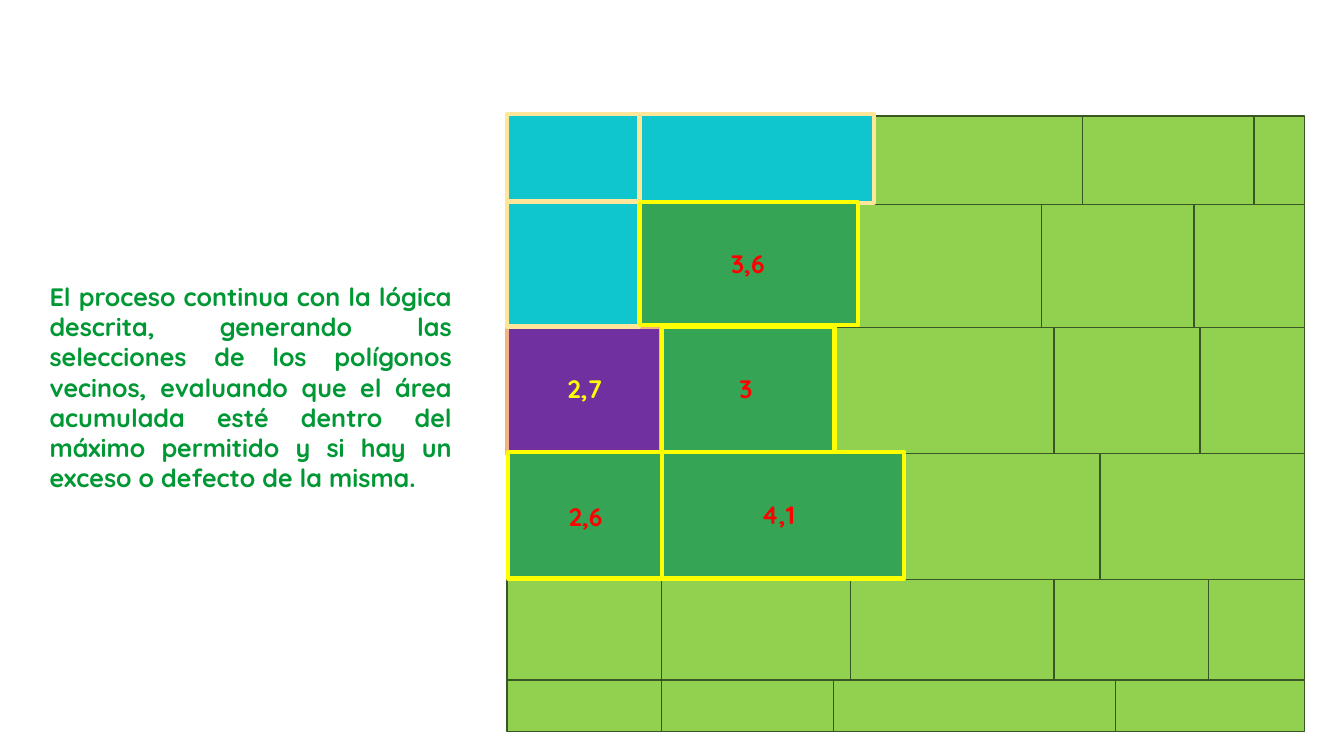
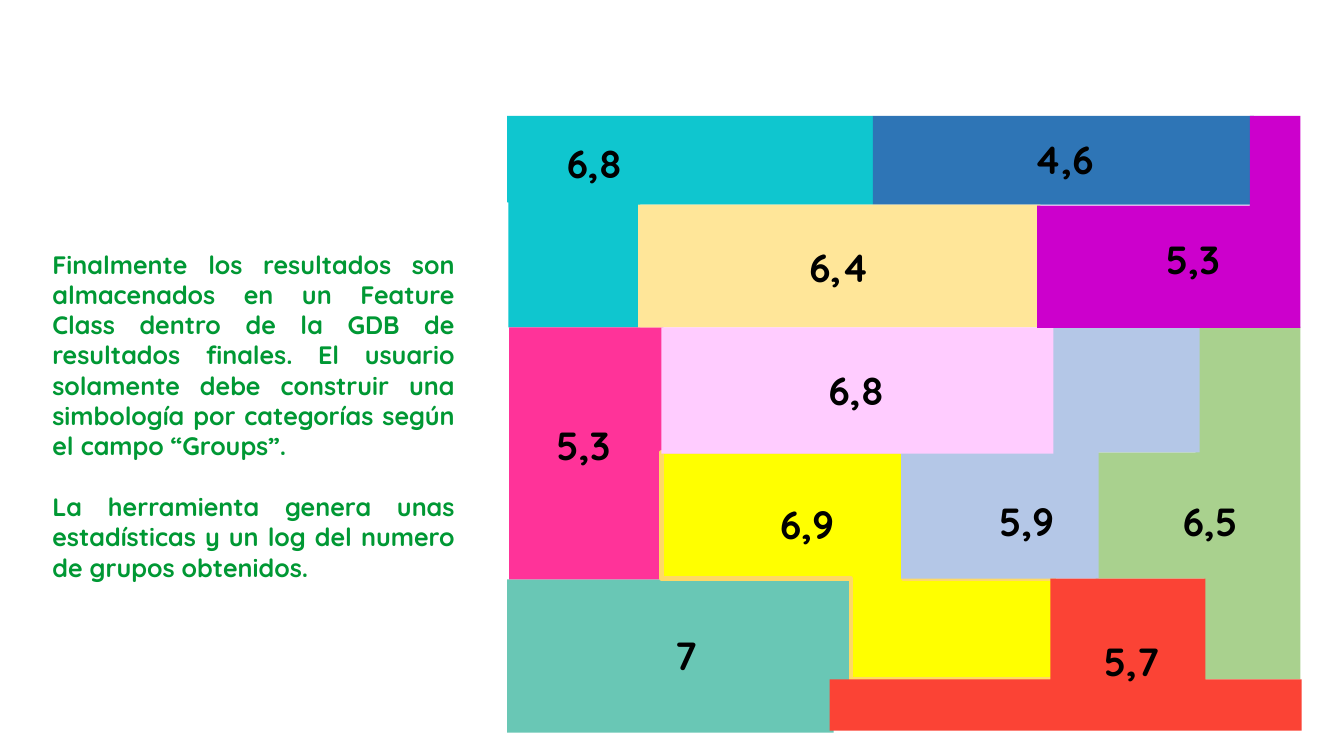
import dataclasses
import itertools

import pptx
import pptx.dml.color
import pptx.enum.shapes
import pptx.enum.text
import pptx.oxml
import pptx.oxml.ns
import pptx.util
from pptx.util import Cm


@dataclasses.dataclass(frozen=True)
class Theme:
    """Colours, type sizes and line widths used by both slides."""
    font: str = "Quicksand"
    body_size: int = 18
    total_size: int = 28
    thin: float = 1
    thick: float = 3
    white: str = "FFFFFF"
    black: str = "000000"
    body: str = "009834"
    parcel: str = "92D050"
    parcel_edge: str = "385723"
    seed: str = "7030A0"
    seed_edge: str = "F4B183"
    grouped: str = "0FC6CF"
    sand: str = "FFE699"
    neighbour: str = "36A455"
    yellow: str = "FFFF00"
    red: str = "FF0000"
    teal: str = "69C7B5"
    sage: str = "A9D18E"
    blue: str = "2E75B6"
    pink: str = "FF3399"
    gold: str = "FFD966"
    periwinkle: str = "B4C7E7"
    lilac: str = "FFCCFF"
    coral: str = "FB4335"
    magenta: str = "CC00CC"


THEME = Theme()
MAP_ORIGIN = (12.78, 2.92)
MAP_RIGHT = 20.1
ROW_EDGES = (0, 2.24, 5.33, 8.51, 11.68, 14.22, 15.52)
PARCEL_EDGES = (
    (9.25, 14.5, 18.82, MAP_RIGHT),
    (3.33, 8.81, 13.47, 17.31, MAP_RIGHT),
    (3.89, 8.23, 13.78, 17.46, MAP_RIGHT),
    (0, 3.89, 9.97, 14.94, MAP_RIGHT),
    (0, 3.89, 8.66, 13.78, 17.68, MAP_RIGHT),
    (0, 3.89, 8.23, 15.34, MAP_RIGHT),
)
SELECTIONS = (
    (THEME.seed, THEME.seed_edge, ((0, 5.33, 3.89, 3.18),)),
    (THEME.grouped, THEME.sand, (
        (0, -0.05, 3.33, 2.21), (0, 2.16, 3.33, 3.15), (3.35, -0.05, 5.89, 2.24))),
    (THEME.neighbour, THEME.yellow, (
        (0.03, 8.48, 3.89, 3.18), (3.91, 5.31, 4.34, 3.18),
        (3.91, 8.48, 6.1, 3.18), (3.35, 2.18, 5.49, 3.1))),
)
AREAS = (
    ("2,7", 1.96, 6.86, THEME.yellow),
    ("3,6", 6.07, 3.73, THEME.red),
    ("3", 6.02, 6.86, THEME.red),
    ("4,1", 6.83, 10.06, THEME.red),
    ("2,6", 1.98, 10.11, THEME.red),
)
GROUPS = (
    (THEME.grouped, None, ((0, 0), (9.22, 0), (9.22, 2.24), (3.35, 2.24),
                           (3.35, 5.33), (0.03, 5.33), (0.03, 2.18), (0, 2.18))),
    (THEME.teal, None, ((0, 11.68), (8.66, 11.68), (8.66, 14.22), (8.23, 14.22),
                        (8.23, 15.54), (0, 15.54))),
    (THEME.sage, None, ((17.35, 5.31), (19.99, 5.31), (19.99, 14.2), (17.58, 14.2),
                        (17.58, 11.66), (14.83, 11.66), (14.83, 8.48), (17.35, 8.48))),
    (THEME.blue, None, ((9.22, 0), (18.82, 2.24))),
    (THEME.pink, None, ((0.05, 5.33), (3.94, 11.68))),
    (THEME.sand, None, ((3.3, 2.24), (13.44, 5.33))),
    (THEME.yellow, THEME.gold, ((3.89, 8.48), (9.98, 8.48), (9.98, 11.66), (13.77, 11.66),
                                (13.77, 14.2), (8.66, 14.2), (8.66, 11.66), (3.89, 11.66))),
    (THEME.periwinkle, None, ((13.74, 5.31), (17.45, 5.31), (17.45, 8.48), (14.91, 8.48),
                              (14.91, 11.66), (9.93, 11.66), (9.93, 8.48), (13.74, 8.48))),
    (THEME.lilac, None, ((3.89, 5.33), (13.77, 8.51))),
    (THEME.coral, None, ((13.69, 11.66), (17.6, 11.66), (17.6, 14.2), (20.02, 14.2),
                         (20.02, 15.49), (8.13, 15.49), (8.13, 14.2), (13.69, 14.2))),
    (THEME.magenta, None, ((18.72, 0), (19.99, 0), (19.99, 5.34), (13.36, 5.34),
                           (13.36, 2.26), (18.72, 2.26))),
)
GROUP_TOTALS = (
    ("6,8", 2.2, 1.18), ("4,6", 14.03, 1.1), ("6,4", 8.37, 3.8), ("5,3", 1.92, 8.29),
    ("6,8", 8.8, 6.9), ("6,5", 17.72, 10.22), ("6,9", 7.56, 10.3), ("7", 4.51, 13.6),
    ("5,9", 13.09, 10.2), ("5,3", 17.28, 3.62), ("5,7", 15.74, 13.75),
)
PROCESS = (
    "El proceso continua con la lógica descrita, generando las selecciones de los polígonos "
    "vecinos, evaluando que el área acumulada esté dentro del máximo permitido y si hay un "
    "exceso o defecto de la misma.",
)
RESULTS = (
    "Finalmente los resultados son almacenados en un Feature Class dentro de la GDB de "
    "resultados finales. El usuario solamente debe construir una simbología por categorías "
    "según el campo “Groups”.",
    "La herramienta genera unas estadísticas y un log del numero de grupos obtenidos.",
)


def rgb(code):
    """Turn a hex code into a colour."""
    return pptx.dml.color.RGBColor.from_string(code)


def paint(shape, fill, edge=None, width=THEME.thick):
    """Give a shape its fill and, if any, its edge."""
    shape.shadow.inherit = False
    shape.fill.solid()
    shape.fill.fore_color.rgb = rgb(fill)
    if edge:
        shape.line.color.rgb = rgb(edge)
        shape.line.width = pptx.util.Pt(width)
    else:
        shape.line.fill.background()


def add_rectangle(slide, left, top, width, height):
    """Add a rectangle measured in centimetres."""
    return slide.shapes.add_shape(
        pptx.enum.shapes.MSO_SHAPE.RECTANGLE, Cm(left), Cm(top), Cm(width), Cm(height))


def style(paragraph, size, color, alignment):
    """Set the bold type of a paragraph."""
    paragraph.alignment = alignment
    paragraph.font.name = THEME.font
    paragraph.font.size = pptx.util.Pt(size)
    paragraph.font.bold = True
    paragraph.font.color.rgb = rgb(color)


def add_explanation(slide, texts, left, top, width, height):
    """Add the translucent panel of justified text."""
    panel = add_rectangle(slide, left, top, width, height)
    paint(panel, THEME.white)
    tint = panel.fill._xPr.find(".//" + pptx.oxml.ns.qn("a:srgbClr"))
    tint.append(pptx.oxml.parse_xml(
        '<a:alpha xmlns:a="http://schemas.openxmlformats.org/drawingml/2006/main" val="90000"/>'))
    frame = panel.text_frame
    frame.word_wrap = True
    frame.vertical_anchor = pptx.enum.text.MSO_ANCHOR.TOP
    for index, text in enumerate(texts):
        paragraph = frame.add_paragraph() if index else frame.paragraphs[0]
        paragraph.text = text
        if index:
            paragraph.space_before = pptx.util.Pt(22)
        style(paragraph, THEME.body_size, THEME.body, pptx.enum.text.PP_ALIGN.JUSTIFY)


def add_figure(slide, text, center_x, center_y, width, height, size, color):
    """Add an area figure centred on a point."""
    figure = slide.shapes.add_textbox(
        Cm(center_x - width / 2), Cm(center_y - height / 2), Cm(width), Cm(height))
    figure.text_frame.word_wrap = True
    paragraph = figure.text_frame.paragraphs[0]
    paragraph.text = text
    style(paragraph, size, color, pptx.enum.text.PP_ALIGN.CENTER)


def add_selection_map(slide, left, top):
    """Draw the parcels, the selected ones and their areas."""
    for (upper, lower), edges in zip(itertools.pairwise(ROW_EDGES), PARCEL_EDGES):
        for start, end in itertools.pairwise(edges):
            parcel = add_rectangle(slide, left + start, top + upper, end - start, lower - upper)
            paint(parcel, THEME.parcel, THEME.parcel_edge, THEME.thin)
    for fill, edge, parcels in SELECTIONS:
        for x, y, width, height in parcels:
            paint(add_rectangle(slide, left + x, top + y, width, height), fill, edge)
    for text, x, y, color in AREAS:
        add_figure(slide, text, left + x, top + y, 1.88, 1.02, THEME.body_size, color)


def add_group(slide, left, top, corners):
    """Add a rectangle from two opposite corners, or an outline from more."""
    if len(corners) == 2:
        (x, y), (right, bottom) = corners
        return add_rectangle(slide, left + x, top + y, right - x, bottom - y)
    points = [(Cm(left + x), Cm(top + y)) for x, y in corners]
    outline = slide.shapes.build_freeform(*points[0])
    outline.add_line_segments(points[1:], close=True)
    return outline.convert_to_shape()


def add_group_map(slide, left, top):
    """Draw the final groups and their total areas."""
    for fill, edge, corners in GROUPS:
        paint(add_group(slide, left, top, corners), fill, edge)
    for text, x, y in GROUP_TOTALS:
        add_figure(slide, text, left + x, top + y, 2.62, 1.45, THEME.total_size, THEME.black)


def main():
    """Build both slides and save them."""
    deck = pptx.Presentation()
    deck.slide_width, deck.slide_height = Cm(33.87), Cm(19.05)
    blank = deck.slide_layouts[6]
    selection = deck.slides.add_slide(blank)
    add_explanation(selection, PROCESS, 1, 6.96, 10.64, 5.64)
    add_selection_map(selection, *MAP_ORIGIN)
    result = deck.slides.add_slide(blank)
    add_group_map(result, *MAP_ORIGIN)
    add_explanation(result, RESULTS, 1.07, 6.15, 10.64, 8.71)
    deck.save("out.pptx")


if __name__ == "__main__":
    main()
